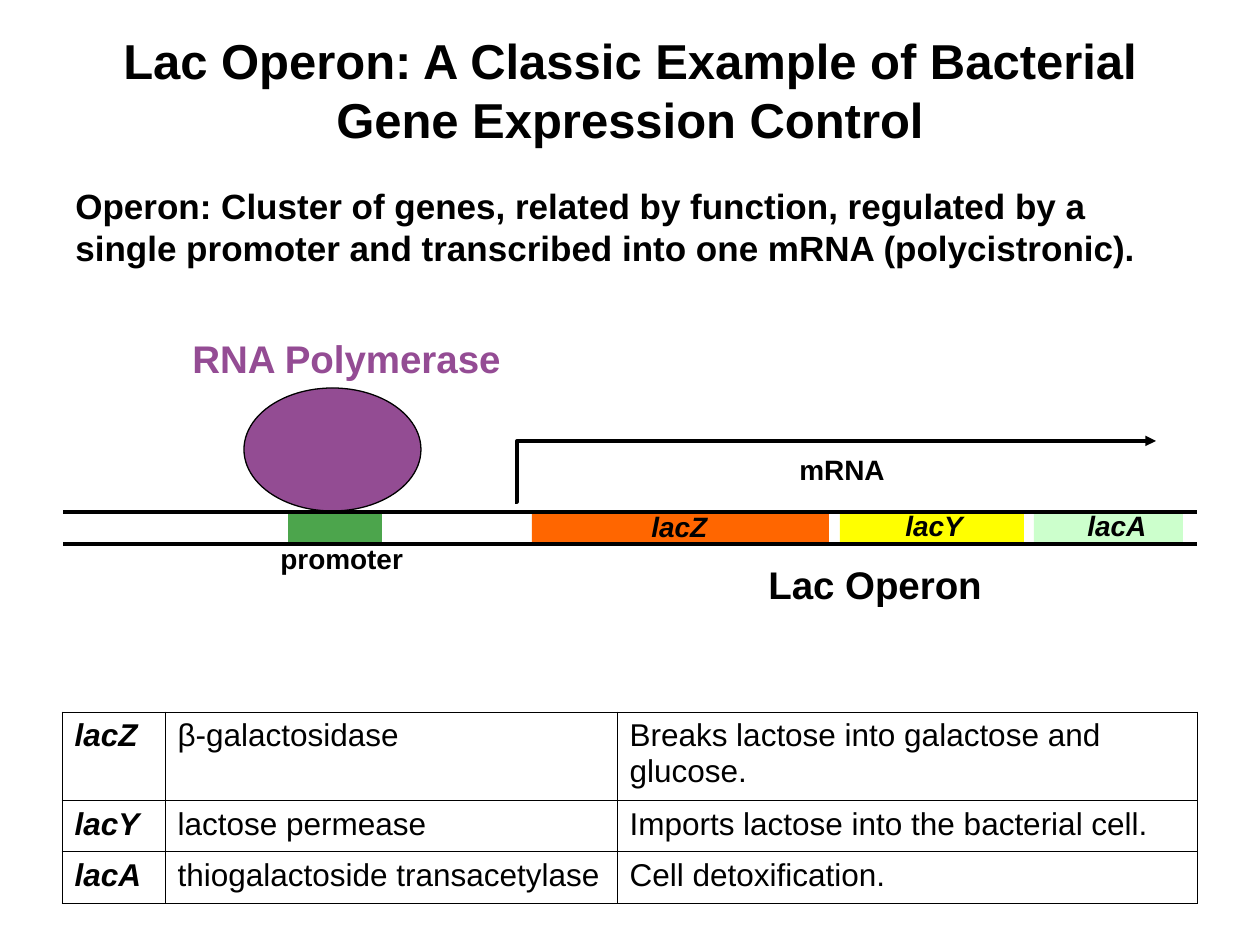
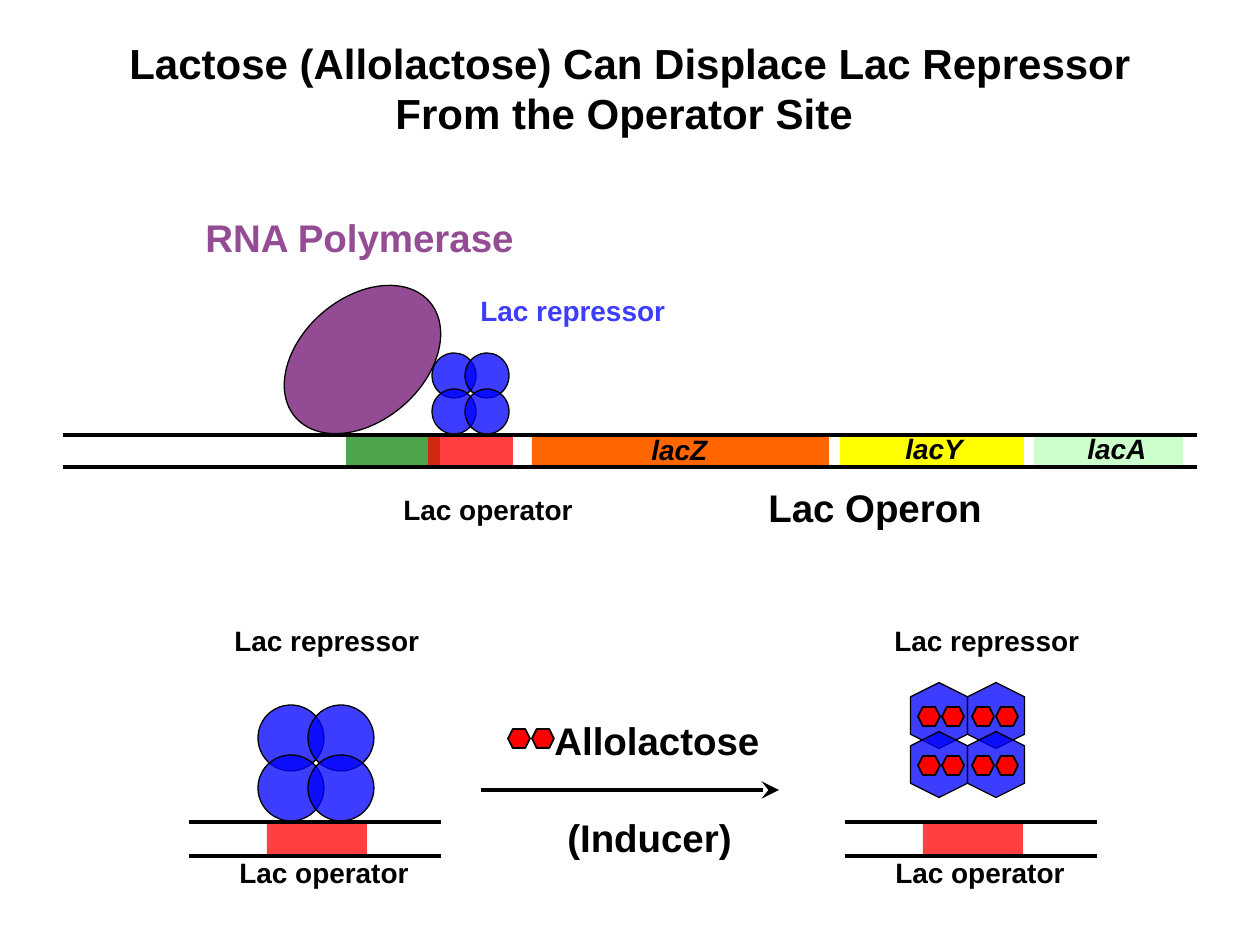
from dataclasses import dataclass
from itertools import product

from lxml import etree
from pptx import Presentation
from pptx import util as u
from pptx.dml.color import RGBColor
from pptx.enum import shapes, text
from pptx.oxml import ns

EMU_PER_PX = 914400 / 126


@dataclass(frozen=True)
class Theme:
    font: str = "Arial"
    ink: str = "000000"
    polymerase: str = "660066"
    polymerase_label: str = "944C94"
    promoter: str = "008000"
    operator: str = "FF0000"
    repressor: str = "0000FF"
    repressor_label: str = "3D3DFF"
    allolactose: str = "FF0000"
    label: int = 16
    cell: int = 18
    body: int = 20
    heading: int = 22
    outline: float = 0.75
    strand: float = 2
    border: float = 0.45


THEME = Theme()
# name, left, width, colour, label left, label width, label drop
GENES = [
    ("lacZ", 532, 297, "FF6600", 639, 84, 1),
    ("lacY", 840, 184, "FFFF00", 893, 86, 0),
    ("lacA", 1034, 149, "CCFFCC", 1075, 88, 0),
]
PRODUCTS = [
    ("lacZ", "β-galactosidase", "Breaks lactose into galactose and glucose."),
    ("lacY", "lactose permease", "Imports lactose into the bacterial cell."),
    ("lacA", "thiogalactoside transacetylase", "Cell detoxification."),
]


def px(length):
    return u.Emu(round(length * EMU_PER_PX))


def format_runs(frame, size, color=THEME.ink, bold=True, italic=False):
    for para in frame.paragraphs:
        for span in para.runs:
            font = span.font
            font.name, font.size = THEME.font, u.Pt(size)
            font.bold, font.italic = bold, italic
            font.color.rgb = RGBColor.from_string(color)


def add_page(deck, title, size, top):
    page = deck.slides.add_slide(deck.slide_layouts[5])
    box = page.shapes.title
    box.left, box.top, box.width, box.height = map(px, (63, top, 1134, 158))
    frame = box.text_frame
    frame.text = title
    frame.word_wrap = True
    frame.auto_size = text.MSO_AUTO_SIZE.NONE
    frame.vertical_anchor = text.MSO_ANCHOR.MIDDLE
    frame.paragraphs[0].alignment = text.PP_ALIGN.CENTER
    format_runs(frame, size)
    return page


def add_label(page, words, area, size=THEME.label, color=THEME.ink,
              italic=False, wrap=False):
    box = page.shapes.add_textbox(*map(px, area))
    frame = box.text_frame
    frame.text = words
    frame.word_wrap = wrap
    frame.auto_size = text.MSO_AUTO_SIZE.SHAPE_TO_FIT_TEXT
    format_runs(frame, size, color, italic=italic)


def add_figure(page, kind, area, color, opacity=100, outline=0, rotation=0):
    figure = page.shapes.add_shape(kind, *map(px, area))
    figure.shadow.inherit = False
    figure.rotation = rotation
    figure.fill.solid()
    figure.fill.fore_color.rgb = RGBColor.from_string(color)
    if opacity < 100:
        fill_color = figure.element.spPr.find(ns.qn("a:solidFill"))[0]
        etree.SubElement(fill_color, ns.qn("a:alpha"), val=str(opacity * 1000))
    if outline:
        figure.line.width = u.Pt(outline)
        figure.line.color.rgb = RGBColor.from_string(THEME.ink)
    else:
        figure.line.fill.background()


def add_line(page, start, end, head=None, head_size="med", elbow=None):
    """Draw a line; elbow is the bend's place in thousandths of a percent."""
    kind = shapes.MSO_CONNECTOR.STRAIGHT if elbow is None else shapes.MSO_CONNECTOR.ELBOW
    line = page.shapes.add_connector(kind, *map(px, start + end))
    line.line.width = u.Pt(THEME.strand)
    line.line.color.rgb = RGBColor.from_string(THEME.ink)
    properties = line.element.spPr
    if head:
        etree.SubElement(properties.find(ns.qn("a:ln")), ns.qn("a:tailEnd"),
                         type=head, w=head_size, len=head_size)
    if elbow is not None:
        guides = properties.find(ns.qn("a:prstGeom")).find(ns.qn("a:avLst"))
        etree.SubElement(guides, ns.qn("a:gd"), name="adj1", fmla=f"val {elbow}")
    etree.SubElement(properties, ns.qn("a:effectLst"))


def add_strands(page, left, right, heights):
    for y in heights:
        add_line(page, (left, y), (right, y))


def add_operon(page, top):
    """Draw the three genes between the DNA strands."""
    for name, left, width, color, label_left, label_width, drop in GENES:
        add_figure(page, shapes.MSO_SHAPE.RECTANGLE, (left, top, width, 34), color)
        add_label(page, name, (label_left, top - 10 + drop, label_width, 47), italic=True)
    add_label(page, "Lac Operon", (756, top + 43, 241, 59), THEME.heading)
    add_strands(page, 63, 1197, (top, top + 32))


def add_polymerase(page, left, top, label_left, label_top, rotation=0):
    add_figure(page, shapes.MSO_SHAPE.OVAL, (left, top, 177, 123),
               THEME.polymerase, 70, THEME.outline, rotation)
    add_label(page, "RNA Polymerase", (label_left, label_top, 336, 59),
              THEME.heading, THEME.polymerase_label)


def add_promoter(page, left, top):
    add_figure(page, shapes.MSO_SHAPE.RECTANGLE, (left, top, 94, 34), THEME.promoter, 70)


def add_operator(page, left, top, width):
    add_figure(page, shapes.MSO_SHAPE.RECTANGLE, (left, top, width, 34), THEME.operator, 75)


def add_operator_label(page, left, top):
    add_label(page, "Lac operator", (left, top, 196, 47))


def add_repressor_label(page, left, top, color=THEME.ink):
    add_label(page, "Lac repressor", (left, top, 212, 47), color=color)


def add_operator_site(page, left):
    add_operator(page, left + 78, 821, 100)
    add_operator_label(page, left + 38, 849)
    add_strands(page, left, left + 252, (822, 856))


def add_repressor(page, kind, area, step_x, step_y, rotation=0):
    """Draw the four subunits as a two-by-two block starting at area."""
    left, top, width, height = area
    for row, column in product(range(2), repeat=2):
        place = (left + column * step_x, top + row * step_y, width, height)
        add_figure(page, kind, place, THEME.repressor, 76, THEME.outline, rotation)


def add_allolactose(page, left, top):
    for ring in range(2):
        add_figure(page, shapes.MSO_SHAPE.HEXAGON, (left + 24 * ring, top, 22, 19),
                   THEME.allolactose, outline=1)


def add_border(cell):
    properties = cell._tc.get_or_add_tcPr()
    for side in ("lnL", "lnR", "lnT", "lnB"):
        edge = etree.SubElement(properties, ns.qn(f"a:{side}"), w=str(u.Pt(THEME.border)))
        fill = etree.SubElement(edge, ns.qn("a:solidFill"))
        etree.SubElement(fill, ns.qn("a:srgbClr"), val=THEME.ink)


def add_product_table(page):
    widths, heights = (103, 452, 580), (88, 51, 52)
    area = (62, 712, sum(widths), sum(heights))
    table = page.shapes.add_table(len(heights), len(widths), *map(px, area)).table
    table.first_row = table.horz_banding = False
    for column, width in zip(table.columns, widths):
        column.width = px(width)
    for row, height, words in zip(table.rows, heights, PRODUCTS):
        row.height = px(height)
        for position, (cell, entry) in enumerate(zip(row.cells, words)):
            is_gene = position == 0
            cell.text = entry
            format_runs(cell.text_frame, THEME.cell, bold=is_gene, italic=is_gene)
            add_border(cell)
            cell.fill.background()


def build_operon_page(deck):
    page = add_page(
        deck, "Lac Operon: A Classic Example of Bacterial Gene Expression Control", 28, 10)
    add_line(page, (515, 502), (1156, 441), "triangle", elbow=300)
    add_label(page, "mRNA", (787, 446, 113, 47))
    add_polymerase(page, 244, 388, 180, 329)
    add_product_table(page)
    add_label(page, "Operon: Cluster of genes, related by function, regulated by a single "
              "promoter and transcribed into one mRNA (polycistronic).",
              (63, 178, 1134, 97), THEME.body, wrap=True)
    add_promoter(page, 288, 511)
    add_label(page, "promoter", (268, 535, 151, 47))
    add_operon(page, 512)


def build_repressor_page(deck):
    page = add_page(
        deck, "Lactose (Allolactose) Can Displace Lac Repressor From the Operator Site ", 24, 9)
    oval, hexagon = shapes.MSO_SHAPE.OVAL, shapes.MSO_SHAPE.HEXAGON

    add_promoter(page, 346, 435)
    add_operator(page, 428, 435, 85)
    add_operator_label(page, 391, 486)
    add_repressor(page, oval, (432, 353, 44, 45), 33, 36)
    add_repressor_label(page, 468, 287, THEME.repressor_label)
    add_operon(page, 435)
    add_polymerase(page, 274, 298, 193, 208, rotation=319.4)

    add_repressor(page, oval, (258, 705, 66, 66), 50, 50)
    add_operator_site(page, 189)
    add_operator_site(page, 845)
    for left in (222, 882):
        add_repressor_label(page, left, 617)
    add_repressor(page, hexagon, (906, 687, 66, 57), 57, 49, rotation=270)
    for row, column in product(range(2), repeat=2):
        add_allolactose(page, 918 + 54 * column, 707 + 49 * row)

    add_label(page, "Allolactose", (542, 711, 233, 59), THEME.heading)
    add_allolactose(page, 508, 729)
    add_line(page, (481, 790), (779, 790), "stealth", "lg")
    add_label(page, "(Inducer)", (555, 808, 192, 59), THEME.heading)


def main():
    deck = Presentation()
    deck.slide_width, deck.slide_height = px(1260), px(945)
    build_operon_page(deck)
    build_repressor_page(deck)
    deck.save("out.pptx")


if __name__ == "__main__":
    main()
